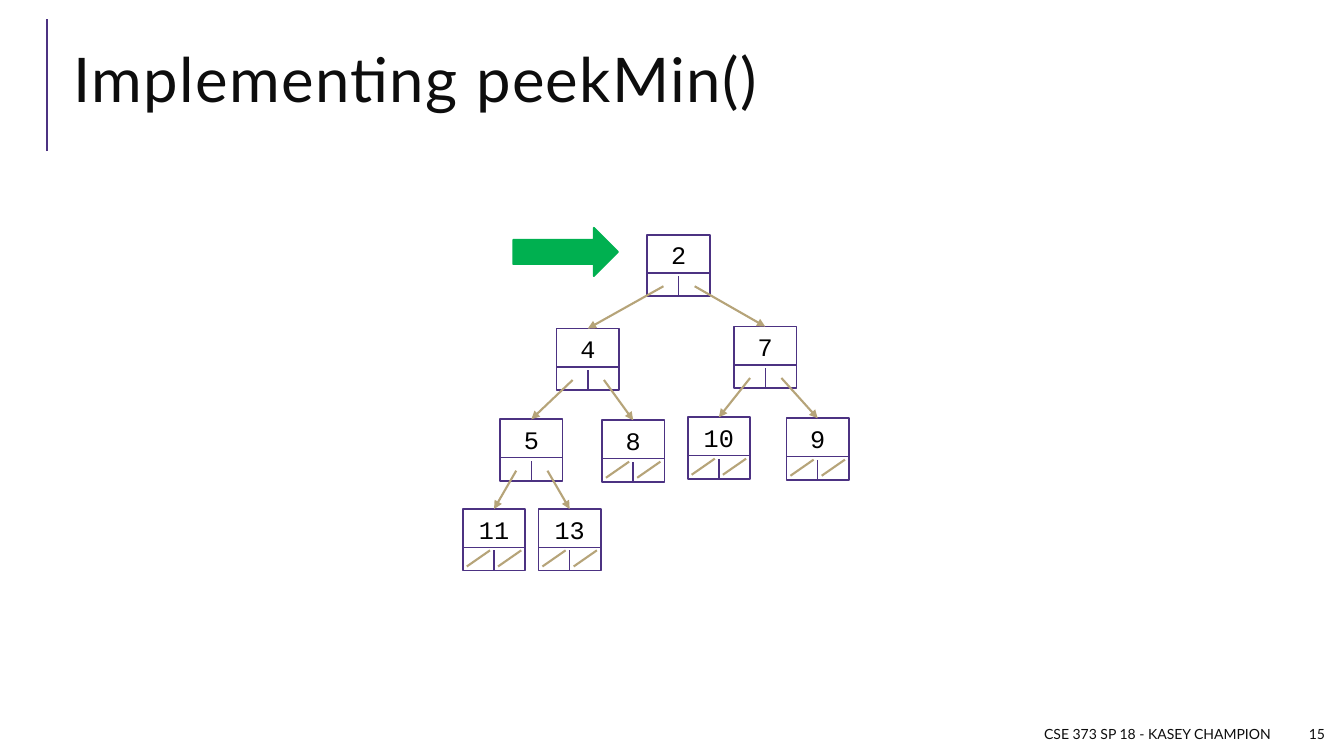
from lxml import etree
from pptx import Presentation
from pptx.dml.color import RGBColor
from pptx.enum import shapes, text
from pptx.oxml import ns
from pptx.util import Inches, Pt

PURPLE, GOLD, GREEN = "4C3282", "B6A479", "00B050"
NODE_W, NODE_H = 0.62, 0.61

prs = Presentation()
prs.slide_width, prs.slide_height = Inches(13.33), Inches(7.5)
slide = prs.slides.add_slide(prs.slide_layouts[6])


def write(content, left, top, width, height, size=10, font="Lato", color="0D0D0D",
          align=text.PP_ALIGN.LEFT, anchor=text.MSO_ANCHOR.MIDDLE,
          wrap=True, line_spacing=None, tracking=None):
    box = slide.shapes.add_textbox(Inches(left), Inches(top), Inches(width), Inches(height))
    frame = box.text_frame
    frame.word_wrap, frame.vertical_anchor = wrap, anchor
    paragraph = frame.paragraphs[0]
    paragraph.alignment, paragraph.line_spacing = align, line_spacing
    run = paragraph.add_run()
    run.text = content
    run.font.size, run.font.name = Pt(size), font
    run.font.color.rgb = RGBColor.from_string(color)
    if tracking:
        run.font._element.set("spc", str(tracking * 100))


def draw_line(x1, y1, x2, y2, color, weight, target=None):
    line = slide.shapes.add_connector(
        shapes.MSO_CONNECTOR.STRAIGHT, Inches(x1), Inches(y1), Inches(x2), Inches(y2))
    line.line.color.rgb = RGBColor.from_string(color)
    line.line.width = Pt(weight)
    if target is not None:
        line.end_connect(target, 0)
        etree.SubElement(line.line._get_or_add_ln(), ns.qn("a:tailEnd"), type="triangle")
    etree.SubElement(line._element.spPr, ns.qn("a:effectLst"))


# Title and footer
draw_line(0.47, 1.5, 0.47, 0.19, PURPLE, 1.5)
write("Implementing peekMin()", 0.63, 0.29, 12.23, 1.11, size=44,
      line_spacing=0.8, tracking=1)
write("CSE 373 SP 18 - KASEY CHAMPION", 6.25, 7.13, 6.45, 0.3, align=text.PP_ALIGN.RIGHT)
write("15", 12.78, 7.13, 0.46, 0.3, align=text.PP_ALIGN.RIGHT)

# Heap nodes: value -> left, top, children
heap = {
    2: (6.42, 2.33, (4, 7)),
    4: (5.52, 3.26, (5, 8)),
    7: (7.28, 3.24, (10, 9)),
    5: (4.96, 4.16, (11, 13)),
    8: (5.97, 4.17, ()),
    10: (6.82, 4.14, ()),
    9: (7.8, 4.15, ()),
    11: (4.59, 5.05, ()),
    13: (5.34, 5.05, ()),
}
node_boxes = {}
for value, (left, top, children) in heap.items():
    node = slide.shapes.add_shape(shapes.MSO_SHAPE.RECTANGLE, Inches(left), Inches(top),
                                  Inches(NODE_W), Inches(NODE_H))
    node.shadow.inherit = False
    node.fill.background()
    node.line.color.rgb = RGBColor.from_string(PURPLE)
    node.line.width = Pt(1.25)
    node_boxes[value] = node

    label = str(value)
    label_w = 0.2 + 0.15 * len(label)
    write(label, left + (NODE_W - label_w) / 2, top, label_w, 0.4, size=18,
          font="Courier New", color="000000", align=text.PP_ALIGN.CENTER,
          anchor=text.MSO_ANCHOR.TOP, wrap=False)

    # Divider under the value, then between the two child cells
    middle = left + NODE_W / 2
    draw_line(left, top + 0.38, left + NODE_W, top + 0.38, PURPLE, 1)
    draw_line(middle, top + NODE_H, middle, top + 0.41, PURPLE, 1)

    # A slash in each empty child cell
    if not children:
        for cell in (left, middle):
            draw_line(cell + 0.27, top + 0.41, cell + 0.04, top + 0.57, GOLD, 1.5)

# Arrows from each child cell to the child node
for left, top, children in heap.values():
    for side, child in enumerate(children):
        child_left, child_top, _ = heap[child]
        draw_line(left + 0.16 + side * NODE_W / 2, top + 0.51,
                  child_left + NODE_W / 2, child_top, GOLD, 1.5, target=node_boxes[child])

# Pointer to the minimum
pointer = slide.shapes.add_shape(shapes.MSO_SHAPE.RIGHT_ARROW, Inches(5.09), Inches(2.26),
                                 Inches(1.04), Inches(0.48))
pointer.shadow.inherit = False
pointer.fill.solid()
pointer.fill.fore_color.rgb = RGBColor.from_string(GREEN)
pointer.line.color.rgb = RGBColor.from_string(GREEN)
pointer.line.width = Pt(1.25)

prs.save("out.pptx")
